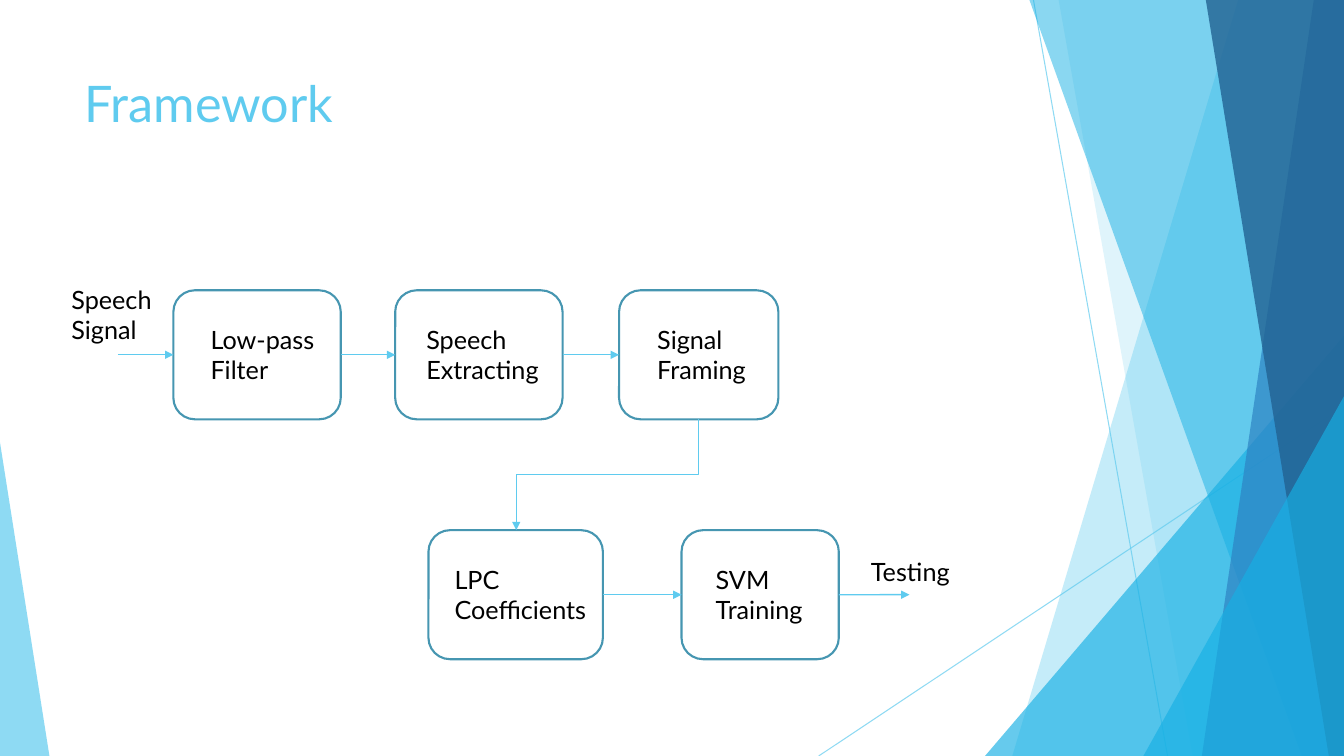
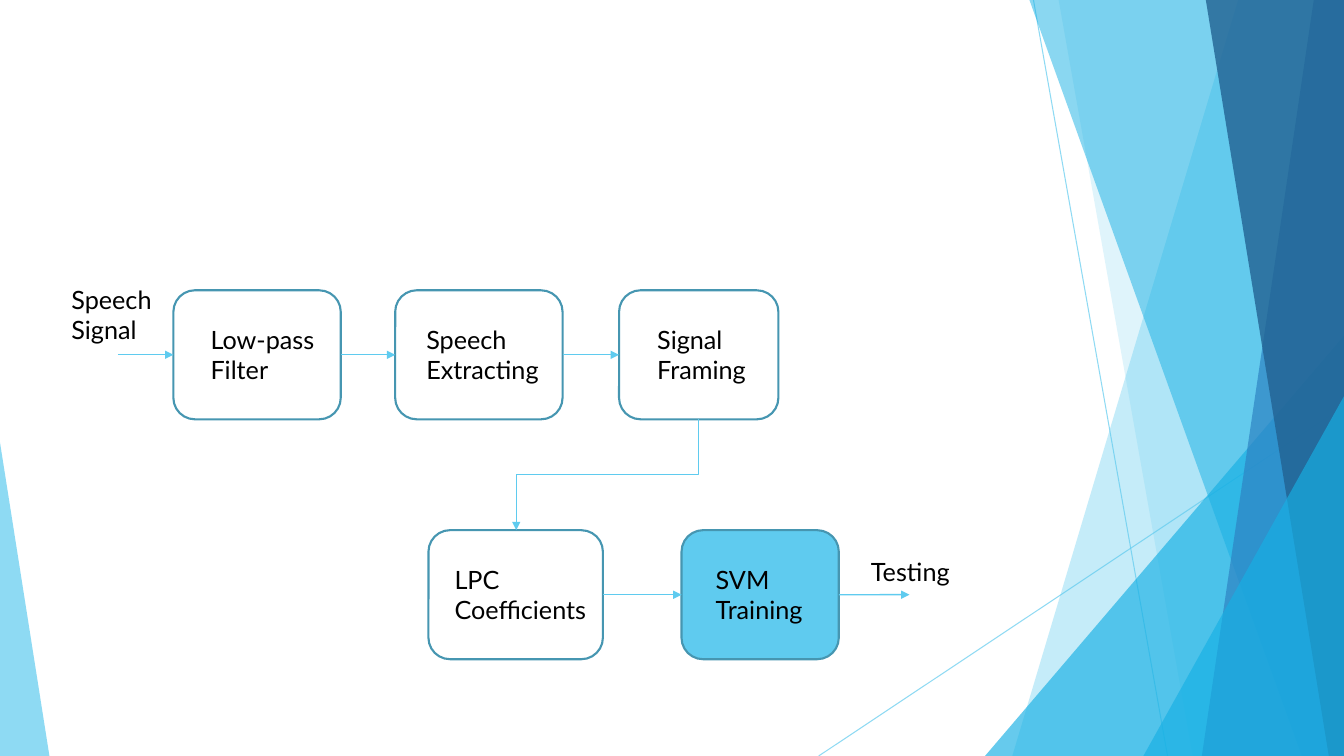
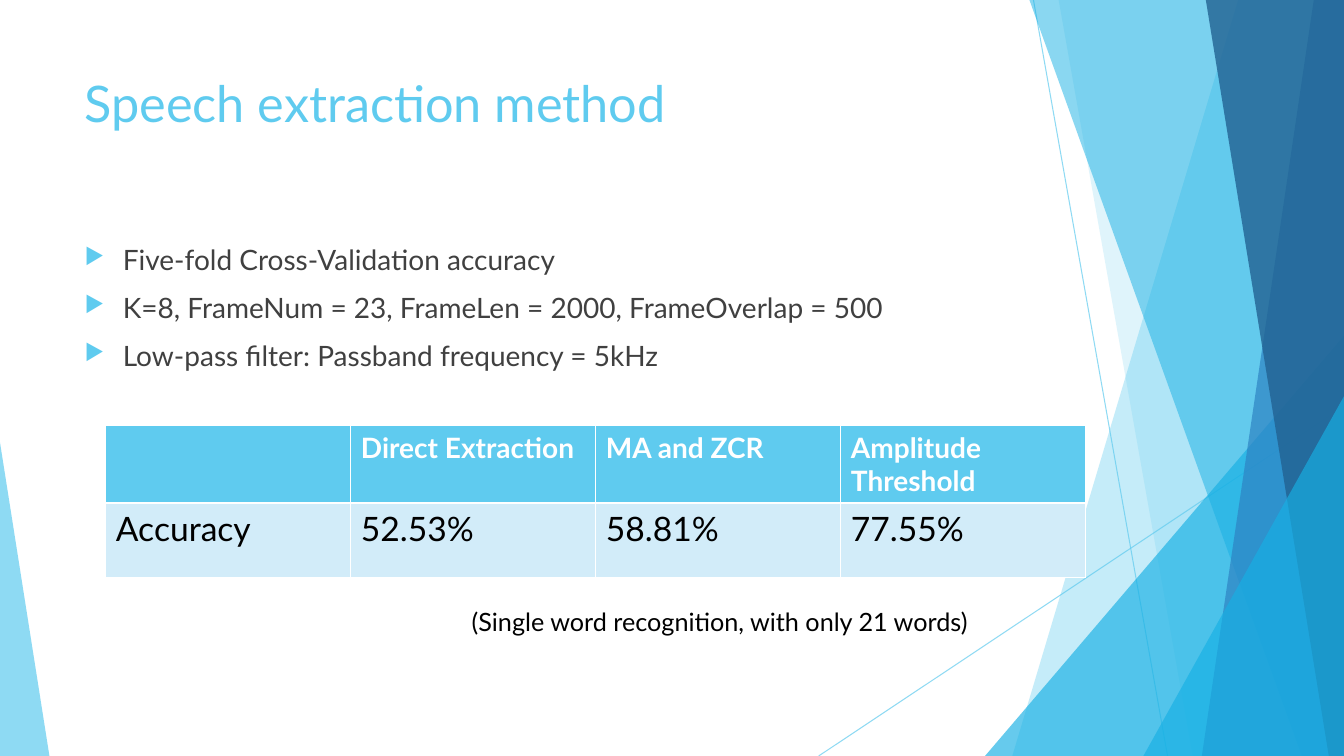
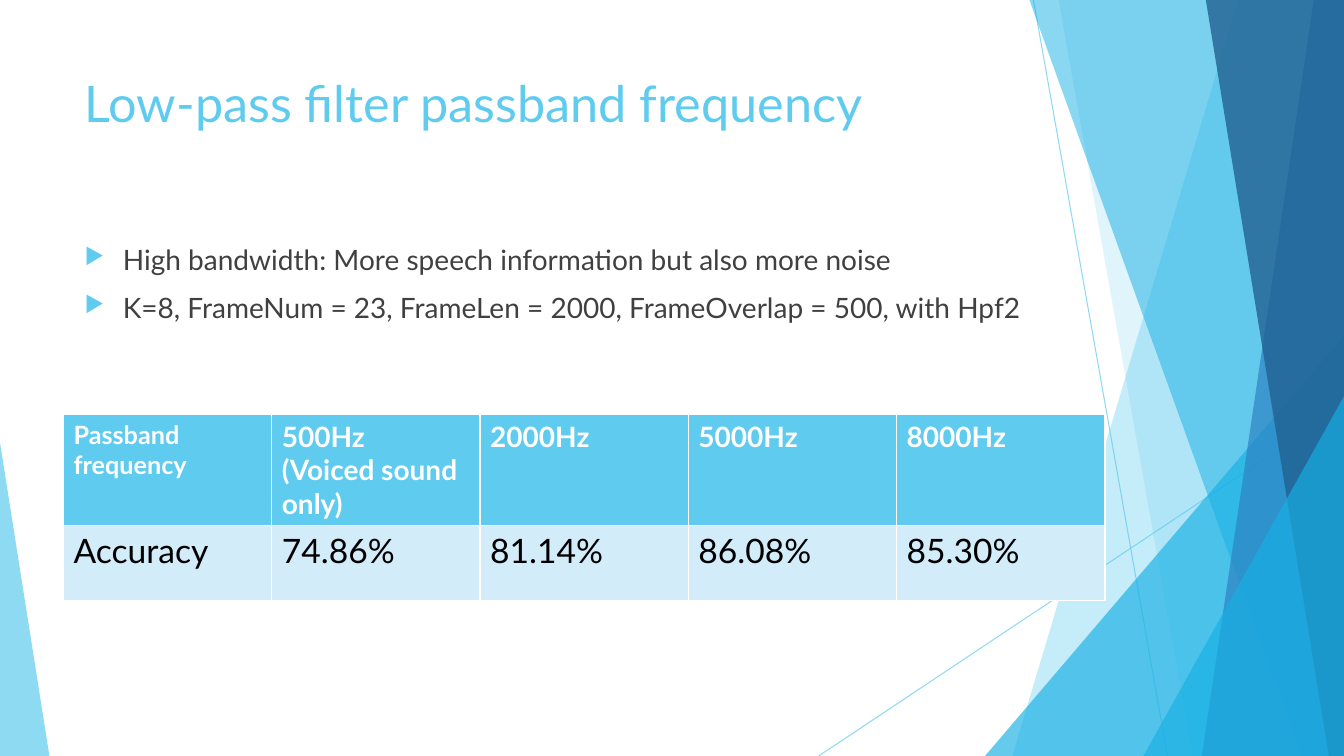
from lxml.etree import SubElement
from pptx import Presentation
from pptx.dml.color import RGBColor
from pptx.enum.shapes import MSO_CONNECTOR, MSO_SHAPE
from pptx.enum.text import MSO_AUTO_SIZE
from pptx.oxml.ns import qn
from pptx.util import Inches, Pt

WIDTH, HEIGHT = 13.33, 7.5
FONT = "Lato"
COLORS = {
    "sky": "5FCBEF",
    "cyan": "17B0E4",
    "blue": "2E83C3",
    "navy": "226292",
    "outline": "4696B1",
    "pale": "D2ECF9",
    "body": "404040",
    "black": "000000",
    "white": "FFFFFF",
}
TOP, LEFT, BOTTOM, RIGHT = range(4)


def rgb(name):
    return RGBColor.from_string(COLORS[name])


def set_opacity(shape, percent):
    for color in shape.element.spPr.iter(qn("a:srgbClr")):
        SubElement(color, qn("a:alpha"), val=str(percent * 1000))


class Deck:
    """Holds the presentation, its style and the current slide."""

    def __init__(self):
        self.presentation = Presentation()
        self.presentation.slide_width = Inches(WIDTH)
        self.presentation.slide_height = Inches(HEIGHT)
        self.layout = self.presentation.slide_layouts[6]
        self.slide = None

    def new_slide(self, title=None):
        is_first = self.slide is None
        self.slide = self.presentation.slides.add_slide(self.layout)
        if is_first:
            self.move_backdrop_to_layout()
        if title:
            self.text(title, 0.74, 0.67, 9.4, 1.44, size=36, color="sky", grow=False)

    def move_backdrop_to_layout(self):
        """Draw the backdrop and hand it to the layout, so that all slides share it."""
        self.draw_backdrop()
        for shape in list(self.slide.shapes):
            self.layout.element.cSld.spTree.append(shape.element)

    def draw_backdrop(self):
        for start, end in (((10.25, 0), (11.58, HEIGHT)), ((WIDTH, 4.03), (8.12, HEIGHT))):
            set_opacity(self.line(start, end, 0.75), 70)
        self.facet(12.28, 10.04, "sky", 36)
        self.facet(10.5, 11.83, "sky", 20)
        self.triangle(9.77, 3.33, 3.56, 1, "cyan", 66)
        self.facet(10.21, 12.91, "cyan", 50)
        self.facet(13.03, 11.92, "blue", 70)
        self.facet(11.96, 13.18, "navy", 80)
        self.triangle(11.34, 3.93, 1.99, 1, "cyan", 66)
        self.triangle(0, 4.39, 0.49, 0, "sky", 70)

    def facet(self, top_x, bottom_x, color, opacity):
        """Full-height pane from a slanted left edge to the right side of the slide."""
        builder = self.slide.shapes.build_freeform(Inches(top_x), 0)
        corners = ((WIDTH, 0), (WIDTH, HEIGHT), (bottom_x, HEIGHT))
        builder.add_line_segments([(Inches(x), Inches(y)) for x, y in corners])
        self.paint(builder.convert_to_shape(), color)
        set_opacity(self.slide.shapes[-1], opacity)

    def triangle(self, left, top, width, apex, color, opacity):
        """Right triangle that stands on the bottom of the slide."""
        shape = self.slide.shapes.add_shape(
            MSO_SHAPE.ISOSCELES_TRIANGLE,
            Inches(left), Inches(top), Inches(width), Inches(HEIGHT - top),
        )
        shape.adjustments[0] = apex
        self.paint(shape, color)
        set_opacity(shape, opacity)

    def paint(self, shape, fill=None, outline=None):
        shape.shadow.inherit = False
        if fill:
            shape.fill.solid()
            shape.fill.fore_color.rgb = rgb(fill)
        else:
            shape.fill.background()
        if outline:
            shape.line.color.rgb = rgb(outline)
            shape.line.width = Pt(1.5)
        else:
            shape.line.fill.background()

    def style(self, paragraph, size, color, bold=False):
        font = paragraph.font
        font.name, font.size, font.bold = FONT, Pt(size), bold
        font.color.rgb = rgb(color)

    def text(self, text, left, top, width, height=0.71, size=18, color="black", grow=True):
        box = self.slide.shapes.add_textbox(
            Inches(left), Inches(top), Inches(width), Inches(height)
        )
        frame = box.text_frame
        frame.word_wrap = True
        frame.auto_size = MSO_AUTO_SIZE.SHAPE_TO_FIT_TEXT if grow else MSO_AUTO_SIZE.NONE
        frame.text = text
        for paragraph in frame.paragraphs:
            self.style(paragraph, size, color)
        return frame

    def bullets(self, items, width=9.4):
        frame = self.text("\n".join(items), 0.74, 2.36, width, 4.24, 20, "body", grow=False)
        for paragraph in frame.paragraphs:
            paragraph.space_before = Pt(10)
            properties = paragraph._p.get_or_add_pPr()
            properties.set("marL", str(Inches(0.38)))
            properties.set("indent", str(Inches(-0.38)))
            bullet_color = SubElement(properties, qn("a:buClr"))
            SubElement(bullet_color, qn("a:srgbClr"), val=COLORS["sky"])
            SubElement(properties, qn("a:buSzPct"), val="80000")
            SubElement(properties, qn("a:buChar"), char="▶")

    def stage(self, text, left, top, width, label_left, label_width, fill=None):
        """Rounded box of the flow chart with its label; returns the box."""
        box = self.slide.shapes.add_shape(
            MSO_SHAPE.ROUNDED_RECTANGLE,
            Inches(left), Inches(top), Inches(width), Inches(1.28),
        )
        self.paint(box, fill, "outline")
        self.text(text, label_left, top + 0.29, label_width)
        return box

    def line(self, start, end, width=1, kind=MSO_CONNECTOR.STRAIGHT):
        connector = self.slide.shapes.add_connector(
            kind, *(Inches(value) for value in (*start, *end))
        )
        connector.line.color.rgb = rgb("sky")
        connector.line.width = Pt(width)
        SubElement(connector.element.spPr, qn("a:effectLst"))
        return connector

    def arrow(self, start, end, source=None, target=None, kind=MSO_CONNECTOR.STRAIGHT):
        """Arrow that is joined to the right of source and the left of target."""
        connector = self.line(start, end, kind=kind)
        outline = connector.element.spPr.find(qn("a:ln"))
        SubElement(outline, qn("a:tailEnd"), type="triangle")
        if source is not None:
            connector.begin_connect(source, RIGHT)
        if target is not None:
            connector.end_connect(target, LEFT)
        return connector

    def elbow_down(self, start, end):
        """Bent arrow that leaves downwards: a sideways one turned by 90 degrees."""
        center_x, center_y = (start[0] + end[0]) / 2, (start[1] + end[1]) / 2
        half_drop, half_run = (end[1] - start[1]) / 2, (start[0] - end[0]) / 2
        connector = self.arrow(
            (center_x - half_drop, center_y - half_run),
            (center_x + half_drop, center_y + half_run),
            kind=MSO_CONNECTOR.ELBOW,
        )
        connector.element.spPr.find(qn("a:xfrm")).set("rot", str(90 * 60000))

    def table(self, rows, left, top, width, row_heights, corner_size=20):
        columns = len(rows[0])
        table = self.slide.shapes.add_table(
            len(rows), columns, Inches(left), Inches(top),
            Inches(width), Inches(sum(row_heights)),
        ).table
        for column in table.columns:
            column.width = Inches(width / columns)
        for row_index, values in enumerate(rows):
            table.rows[row_index].height = Inches(row_heights[row_index])
            is_header = row_index == 0
            for column_index, value in enumerate(values):
                cell = table.cell(row_index, column_index)
                cell.fill.solid()
                cell.fill.fore_color.rgb = rgb("sky" if is_header else "pale")
                cell.text = value
                header_size = 20 if column_index else corner_size
                for paragraph in cell.text_frame.paragraphs:
                    if is_header:
                        self.style(paragraph, header_size, "white", bold=True)
                    else:
                        self.style(paragraph, 24, "black")

    def pipeline(self, training_fill=None):
        """Flow chart from the speech signal to testing."""
        upper, lower = 2.88, 5.26
        upper_middle, lower_middle = upper + 0.64, lower + 0.64
        low_pass = self.stage("Low-pass Filter", 1.72, upper, 1.66, 1.99, 1.39)
        extracting = self.stage("Speech Extracting", 3.92, upper, 1.66, 4.13, 1.42)
        framing = self.stage("Signal Framing", 6.14, upper, 1.58, 6.42, 1.12)
        coefficients = self.stage("LPC Coefficients", 4.25, lower, 1.73, 4.41, 1.57)
        training = self.stage("SVM\nTraining", 6.76, lower, 1.56, 7, 1.43, training_fill)
        self.text("Speech Signal", 0.61, 2.77, 1.24)
        self.text("Testing", 8.54, 5.47, 1.24, 0.4)

        self.arrow((1.17, upper_middle), (1.72, upper_middle), target=low_pass)
        self.arrow((3.38, upper_middle), (3.92, upper_middle), low_pass, extracting)
        self.arrow((5.58, upper_middle), (6.14, upper_middle), extracting, framing)
        self.elbow_down((6.93, upper + 1.28), (5.12, lower))
        self.arrow((5.98, lower_middle), (6.76, lower_middle), coefficients, training)
        self.arrow((8.32, lower_middle), (9.02, lower_middle), training)


def main():
    deck = Deck()

    deck.new_slide("Framework")
    deck.pipeline()

    deck.new_slide()
    deck.pipeline(training_fill="sky")

    deck.new_slide("Speech extraction method")
    deck.bullets([
        "Five-fold Cross-Validation accuracy",
        "K=8, FrameNum = 23, FrameLen = 2000, FrameOverlap = 500",
        "Low-pass filter: Passband frequency = 5kHz",
    ])
    deck.table(
        [
            ["", "Direct Extraction", "MA and ZCR", "Amplitude Threshold"],
            ["Accuracy", "52.53%", "58.81%", "77.55%"],
        ],
        1.05, 4.22, 9.72, (0.73, 0.74),
    )
    deck.text("(Single word recognition, with only 21 words)", 4.58, 5.97, 5.56, 0.4)

    deck.new_slide("Low-pass filter passband frequency")
    deck.bullets([
        "High bandwidth: More speech information but also more noise",
        "K=8, FrameNum = 23, FrameLen = 2000, FrameOverlap = 500, with Hpf2",
    ], width=9.74)
    deck.table(
        [
            ["Passband frequency", "500Hz\n(Voiced sound only)", "2000Hz", "5000Hz", "8000Hz"],
            ["Accuracy", "74.86%", "81.14%", "86.08%", "85.30%"],
        ],
        0.63, 4.11, 10.33, (0.72, 0.74), corner_size=18,
    )

    deck.presentation.save("out.pptx")


if __name__ == "__main__":
    main()
